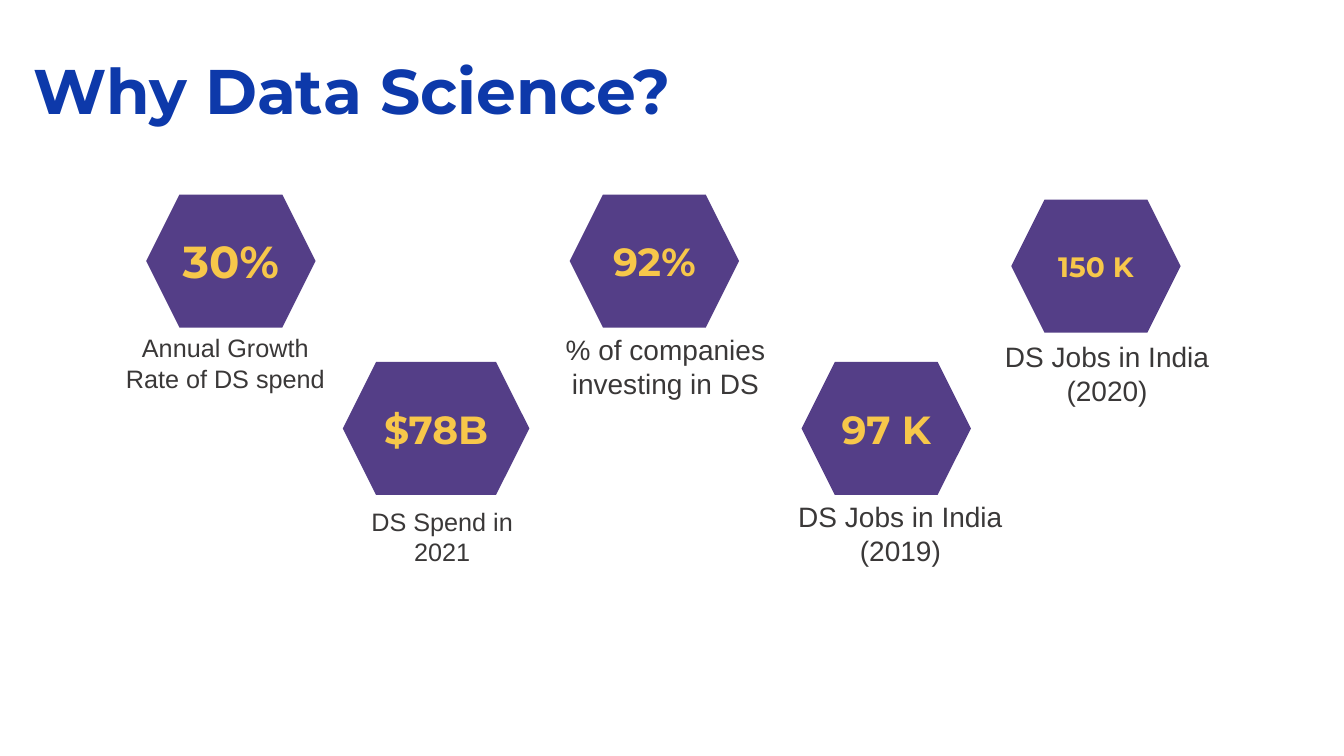
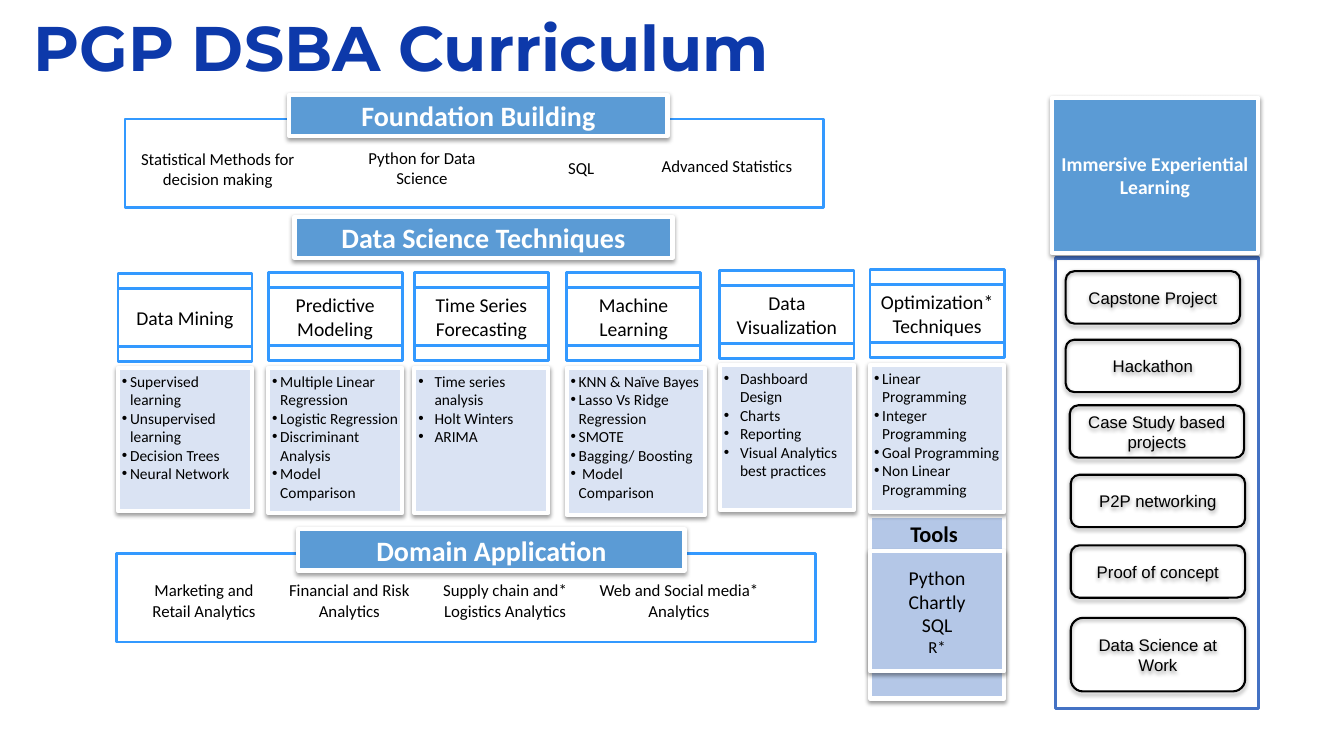
from lxml import etree
from pptx import Presentation
from pptx.dml.color import RGBColor
from pptx.enum.shapes import MSO_SHAPE
from pptx.enum.text import MSO_ANCHOR, PP_ALIGN
from pptx.oxml import parse_xml
from pptx.oxml.ns import nsdecls, qn
from pptx.util import Inches, Pt

RECT = MSO_SHAPE.RECTANGLE
ROUND = MSO_SHAPE.ROUNDED_RECTANGLE
HEX = MSO_SHAPE.HEXAGON
TOP, MIDDLE = MSO_ANCHOR.TOP, MSO_ANCHOR.MIDDLE
LEFT, CENTER = PP_ALIGN.LEFT, PP_ALIGN.CENTER

WHITE = RGBColor(0xFF, 0xFF, 0xFF)
BLACK = RGBColor(0x00, 0x00, 0x00)
NAVY = RGBColor(0x0D, 0x39, 0xAA)
PURPLE = RGBColor(0x54, 0x3E, 0x87)
GOLD = RGBColor(0xF7, 0xC7, 0x4A)
GRAY = RGBColor(0x3A, 0x38, 0x38)
BLUE = RGBColor(0x5B, 0x9B, 0xD5)
AZURE = RGBColor(0x33, 0x99, 0xFF)
ROYAL = RGBColor(0x44, 0x72, 0xC4)
PALE = RGBColor(0xDA, 0xE3, 0xF3)
MIST = RGBColor(0xB4, 0xC7, 0xE7)

SHADOW = (
    f'<a:effectLst {nsdecls("a")}><a:outerShdw blurRad="{Pt(3.1)}" '
    f'dist="{Pt(1.6)}" dir="5400000" rotWithShape="0">'
    '<a:srgbClr val="000000"><a:alpha val="38000"/></a:srgbClr>'
    '</a:outerShdw></a:effectLst>'
)


def write(frame, lines, font, color, align=CENTER, anchor=MIDDLE, pad=(0.1, 0.05), dent=0):
    side, edge = [Inches(gap) for gap in pad]
    look = {
        "word_wrap": True, "vertical_anchor": anchor,
        "margin_left": side, "margin_right": side,
        "margin_top": edge, "margin_bottom": edge,
    }
    for name, value in look.items():
        setattr(frame, name, value)
    for i, line in enumerate(lines):
        para = frame.add_paragraph() if i else frame.paragraphs[0]
        para.alignment = align
        if dent:
            props = para._p.get_or_add_pPr()
            props.set("marL", str(Inches(dent)))
            props.set("indent", str(-Inches(dent)))
            tint = etree.SubElement(props, qn("a:buClr"))
            etree.SubElement(tint, qn("a:srgbClr")).set("val", str(color))
            etree.SubElement(props, qn("a:buFont")).set("typeface", "Arial")
            etree.SubElement(props, qn("a:buChar")).set("char", "•")
        run = para.add_run()
        run.text = line
        for name, value in font.items():
            setattr(run.font, name, value)
        run.font.color.rgb = color


def draw(slide, kind, at, fill=None, line=None, width=0, shadow=False):
    shape = slide.shapes.add_shape(kind, *[Inches(v) for v in at])
    shape.shadow.inherit = False
    if shadow:
        props = shape._element.spPr
        props.remove(props.find(qn("a:effectLst")))
        props.append(parse_xml(SHADOW))
    if fill is None:
        shape.fill.background()
    else:
        shape.fill.solid()
        shape.fill.fore_color.rgb = fill
    if line is None:
        shape.line.fill.background()
    else:
        shape.line.color.rgb = line
        shape.line.width = Pt(width)
    return shape


deck = Presentation()
deck.slide_width, deck.slide_height = Inches(13.33), Inches(7.5)

heads = [("Why Data Science?", 0.46, 6.87), ("PGP DSBA Curriculum", 0.03, 10.77)]
for text, top, wide in heads:
    slide = deck.slides.add_slide(deck.slide_layouts[5])
    title = slide.shapes.title
    title.left, title.top = Inches(0.23), Inches(top)
    title.width, title.height = Inches(wide), Inches(0.86)
    font = {"name": "Montserrat", "size": Pt(45), "bold": True}
    write(title.text_frame, [text], font, NAVY, LEFT, TOP)

why, plan = deck.slides

facts = [
    ("30%", 32, (1.45, 1.93, 1.68), "Annual Growth Rate of DS spend", 18, (1.15, 3.25, 2.17)),
    ("$78B", 28, (3.4, 3.59, 1.85), "DS Spend in 2021", 18, (3.3, 4.97, 2.17)),
    ("92%", 28, (5.65, 1.93, 1.68), "% of companies investing in DS", 20, (5.36, 3.25, 2.48)),
    ("97 K", 28, (7.95, 3.59, 1.68), "DS Jobs in India (2019)", 20, (7.69, 4.91, 2.48)),
    ("150 K", 20, (10.03, 1.98, 1.68), "DS Jobs in India (2020)", 20, (9.74, 3.32, 2.48)),
]
for value, size, spot, label, small, place in facts:
    badge = draw(why, HEX, (*spot, 1.32), PURPLE)
    font = {"name": "Montserrat", "size": Pt(size), "bold": True}
    write(badge.text_frame, [value], font, GOLD, pad=(0, 0))
    note = why.shapes.add_textbox(*[Inches(v) for v in (*place, 0.75)])
    write(note.text_frame, [label], {"name": "Arial", "size": Pt(small)}, GRAY, anchor=TOP)

draw(plan, RECT, (10.47, 2.56, 2.01, 4.47), WHITE, ROYAL, 2.25)
for left, top in [(1.24, 1.18), (1.16, 5.49)]:
    draw(plan, RECT, (left, top, 6.93, 0.88), WHITE, AZURE, 2)

bands = [
    ("Foundation Building", 20, (2.87, 0.94, 3.75, 0.41)),
    ("Data Science Techniques", 20, (2.92, 2.15, 3.75, 0.41)),
    ("Domain Application", 20, (2.96, 5.25, 3.83, 0.41)),
    ("Immersive Experiential Learning", 14, (10.43, 0.97, 2.05, 1.54)),
]
for text, size, at in bands:
    band = draw(plan, RECT, at, BLUE, WHITE, 3, True)
    font = {"name": "Calibri", "size": Pt(size), "bold": True}
    write(band.text_frame, [text], font, WHITE, pad=(0, 0))

topics = [
    ("Statistical Methods for decision making", (1.24, 1.35, 1.84, 0.65)),
    ("Python for Data Science", (3.52, 1.41, 1.33, 0.51)),
    ("SQL", (5.1, 1.41, 1.33, 0.51)),
    ("Advanced Statistics", (6.47, 1.39, 1.48, 0.51)),
    ("Marketing and Retail Analytics", (1.36, 5.75, 1.33, 0.41)),
    ("Financial and Risk Analytics", (2.8, 5.75, 1.33, 0.41)),
    ("Supply chain and* Logistics Analytics", (4.24, 5.75, 1.54, 0.41)),
    ("Web and Social media* Analytics", (5.88, 5.75, 1.71, 0.41)),
]
for text, at in topics:
    topic = plan.shapes.add_textbox(*[Inches(v) for v in at])
    write(topic.text_frame, [text], {"name": "Calibri", "size": Pt(12)}, BLACK, pad=(0.04, 0.04))

tracks = [
    ("Data Mining", 1.17, 2.71, (3.65, 1.33, 1.42), 0.08,
     ["Supervised learning", "Unsupervised learning", "Decision Trees", "Neural Network"]),
    ("Predictive Modeling", 2.66, 2.7, (3.65, 1.33, 1.44), 0.08,
     ["Multiple Linear Regression", "Logistic Regression", "Discriminant Analysis",
      "Model Comparison"]),
    ("Time Series Forecasting", 4.11, 2.7, (3.65, 1.33, 1.44), 0.16,
     ["Time series analysis", "Holt Winters", "ARIMA"]),
    ("Machine Learning", 5.62, 2.7, (3.65, 1.37, 1.46), 0.08,
     ["KNN & Naïve Bayes", "Lasso Vs Ridge Regression", "SMOTE", "Bagging/ Boosting",
      " Model Comparison"]),
    ("Data Visualization", 7.14, 2.68, (3.62, 1.33, 1.44), 0.16,
     ["Dashboard Design", "Charts", "Reporting", "Visual Analytics best practices"]),
    ("Optimization* Techniques", 8.63, 2.67, (3.62, 1.33, 1.46), 0.08,
     ["Linear Programming", "Integer Programming", "Goal Programming",
      "Non Linear Programming"]),
]
draw(plan, RECT, (8.63, 5.12, 1.33, 1.81), MIST, WHITE, 3, True)
for name, left, top, size, dent, items in tracks:
    draw(plan, RECT, (left, top, 1.33, 0.88), WHITE, AZURE, 2)
    head = draw(plan, RECT, (left, top + 0.15, 1.33, 0.58), WHITE, AZURE, 2)
    write(head.text_frame, [name], {"name": "Calibri", "size": Pt(14)}, BLACK, pad=(0, 0))
    card = draw(plan, RECT, (left, *size), PALE, WHITE, 3, True)
    font = {"name": "Calibri", "size": Pt(11)}
    write(card.text_frame, items, font, BLACK, LEFT, TOP, (0.04, 0.04), dent)

tools = draw(plan, RECT, (8.63, 5.47, 1.33, 1.19), MIST, WHITE, 3, True)
font = {"name": "Calibri", "size": Pt(14)}
write(tools.text_frame, ["Python", "Chartly", "SQL", "R*"], font, BLACK, pad=(0.04, 0.04))
tools.text_frame.paragraphs[-1].runs[0].font.size = Pt(12)

label = plan.shapes.add_textbox(Inches(8.93), Inches(4.96), Inches(0.97), Inches(0.7))
font = {"name": "Calibri", "size": Pt(16), "bold": True}
write(label.text_frame, ["Tools"], font, BLACK, LEFT)
label.text_frame.paragraphs[0].line_spacing = 0.9

tasks = [
    ("Capstone Project", 10.57, 2.69, 0.52),
    ("Hackathon", 10.57, 3.37, 0.52),
    ("Case Study based projects", 10.61, 4.02, 0.52),
    ("P2P networking", 10.62, 4.71, 0.52),
    ("Proof of concept", 10.62, 5.41, 0.52),
    ("Data Science at Work", 10.62, 6.13, 0.73),
]
for text, left, top, high in tasks:
    task = draw(plan, ROUND, (left, top, 1.73, high), None, BLACK, 1.5, True)
    write(task.text_frame, [text], {"name": "Arial", "size": Pt(12)}, BLACK)

deck.save("out.pptx")
